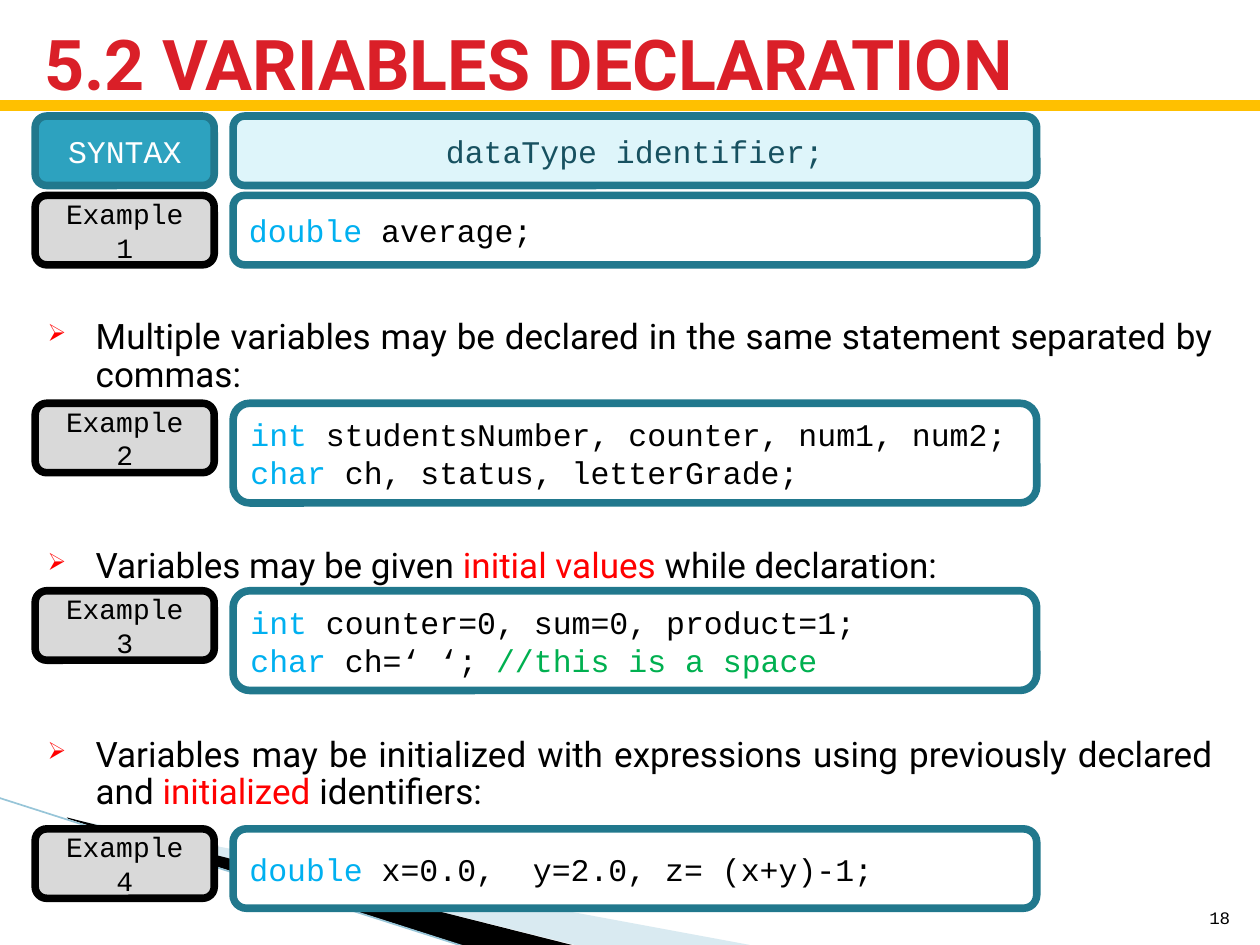
import pptx
import pptx.util
import pptx.dml.color
import pptx.enum.shapes
import pptx.enum.text
import pptx.oxml
import pptx.oxml.ns

Cm, Pt = pptx.util.Cm, pptx.util.Pt
SHAPE = pptx.enum.shapes.MSO_SHAPE
ALIGN = pptx.enum.text.PP_ALIGN
ANCHOR = pptx.enum.text.MSO_ANCHOR
qn = pptx.oxml.ns.qn

BLACK, WHITE, RED, TEAL = "000000", "FFFFFF", "FF0000", "21788D"
KEYWORD, COMMENT = "00B0F0", "00B050"
CODE = {"name": "Courier New", "size": Pt(18)}
LABEL = {"name": "Courier New", "size": Pt(16)}
BODY = {"name": "Roboto", "size": Pt(20)}
TITLE = {"name": "Roboto", "size": Pt(40), "bold": True}
NUMBER = {"name": "Courier New", "size": Pt(10)}


def rgb(value):
    return pptx.dml.color.RGBColor.from_string(value)


def apply(obj, values):
    for name, value in values.items():
        setattr(obj, name, value)


def sub(parent, tag, **attrs):
    el = pptx.oxml.parse_xml(f"<{tag} {pptx.oxml.ns.nsdecls('a')}/>")
    for name, value in attrs.items():
        el.set(name, str(value))
    parent.append(el)
    return el


def fill_text(tf, lines, font, align=ALIGN.LEFT, anchor=ANCHOR.MIDDLE):
    apply(tf, {"word_wrap": True, "vertical_anchor": anchor,
               "auto_size": pptx.enum.text.MSO_AUTO_SIZE.NONE})
    for i, line in enumerate(lines):
        p = tf.add_paragraph() if i else tf.paragraphs[0]
        p.alignment = align
        for text, color in line:
            r = p.add_run()
            r.text = text
            apply(r.font, font)
            r.font.color.rgb = rgb(color)


def add_line(s, x1, y1, x2, y2, color, width):
    c = s.shapes.add_connector(pptx.enum.shapes.MSO_CONNECTOR.STRAIGHT,
                               Cm(x1), Cm(y1), Cm(x2), Cm(y2))
    c.line.color.rgb = rgb(color)
    c.line.width = Pt(width)
    sub(c._element.spPr, "a:effectLst")


def add_wedge(s, x, y, points, color, alpha=None):
    start, *rest = [(Cm(x + dx), Cm(y + dy)) for dx, dy in points]
    fb = s.shapes.build_freeform(*start)
    fb.add_line_segments(rest, close=True)
    sp = fb.convert_to_shape()
    sp.shadow.inherit = False
    sp.fill.solid()
    sp.fill.fore_color.rgb = rgb(color)
    sp.line.fill.background()
    if alpha:
        sub(sp._element.spPr.find(".//" + qn("a:srgbClr")), "a:alpha", val=alpha * 1000)


def add_swoosh(s, x, y):
    add_wedge(s, x + 0.05, y + 0.03, [(0, 0), (13.72, 2.54), (10.19, 2.54)], "A0CBDC", 40)
    add_wedge(s, x, y, [(0, 0), (10.26, 2.59), (8.1, 2.62), (0.03, 0.03)], BLACK)
    add_line(s, x - 1.38, y - 0.4, x + 8.07, y + 2.62, "97C5D8", 0.95)


def add_box(s, x, y, w, h, fill, line, lines, font, align):
    sp = s.shapes.add_shape(SHAPE.ROUNDED_RECTANGLE, Cm(x), Cm(y), Cm(w), Cm(h))
    sp.shadow.inherit = False
    sp.fill.solid()
    sp.fill.fore_color.rgb = rgb(fill)
    sp.line.color.rgb = rgb(line)
    sp.line.width = Pt(4.33)
    fill_text(sp.text_frame, lines, font, align)


def add_syntax(s, x, y):
    add_box(s, x, y, 3.61, 1.4, "2DA2BF", TEAL, [[("SYNTAX", WHITE)]], CODE, ALIGN.CENTER)
    add_box(s, x + 3.99, y, 16.2, 1.4, "DEF5FA", TEAL,
            [[("dataType identifier;", "175160")]], CODE, ALIGN.CENTER)


def add_example(s, x, y, h, number, lines):
    add_box(s, x, y, 3.61, 1.4, "D9D9D9", BLACK,
            [[(f"Example {number}", BLACK)]], LABEL, ALIGN.CENTER)
    add_box(s, x + 3.99, y, 16.2, h, WHITE, TEAL, lines, CODE, ALIGN.LEFT)


def add_text(s, x, y, w, h, line, font, align, anchor):
    tb = s.shapes.add_textbox(Cm(x), Cm(y), Cm(w), Cm(h))
    fill_text(tb.text_frame, [line], font, align, anchor)
    return tb.text_frame.paragraphs[0]


def add_bullet(s, x, y, h, line):
    p = add_text(s, x, y, 24, h, line, BODY, ALIGN.JUSTIFY, ANCHOR.TOP)
    p.line_spacing = 0.9
    pPr = p._p.get_or_add_pPr()
    pPr.set("marL", str(Cm(0.97)))
    pPr.set("indent", str(-Cm(0.97)))
    sub(sub(pPr, "a:buClr"), "a:srgbClr", val=RED)
    sub(pPr, "a:buSzPct", val=68000)
    sub(pPr, "a:buChar", char="➢")


def add_heading(s, x, y, w, h, text):
    add_line(s, 0, 2.13, 25.4, 2.13, "FFC000", 6)
    title = s.shapes.title
    apply(title, {"left": Cm(x), "top": Cm(y), "width": Cm(w), "height": Cm(h)})
    fill_text(title.text_frame, [[(text, "DA1F28")]], TITLE)


def main():
    prs = pptx.Presentation()
    apply(prs, {"slide_width": Cm(25.4), "slide_height": Cm(19.05)})
    s = prs.slides.add_slide(prs.slide_layouts[5])
    left = 0.71

    add_swoosh(s, 1.35, 16.48)
    add_text(s, 24.03, 17.81, 1.02, 1.02, [("18", BLACK)], NUMBER, ALIGN.RIGHT, ANCHOR.BOTTOM)
    add_heading(s, 0.64, 0.43, 24.05, 1.65, "5.2 VARIABLES DECLARATION")
    add_syntax(s, left, 2.34)

    bullets = [
        (6.32, 1.4, [("Multiple variables may be declared in the same statement "
                      "separated by commas:", BLACK)]),
        (10.92, 1.19, [("Variables may be given ", BLACK), ("initial values ", RED),
                       ("while declaration:", BLACK)]),
        (14.73, 1.6, [("Variables may be initialized with expressions using previously "
                       "declared and ", BLACK), ("initialized", RED),
                      (" identifiers:", BLACK)]),
    ]
    for y, h, line in bullets:
        add_bullet(s, left, y, h, line)

    examples = [
        (3.94, 1.4, [[("double", KEYWORD), (" average;", BLACK)]]),
        (8.13, 2.01, [[("int ", KEYWORD), ("studentsNumber, counter, num1, num2;", BLACK)],
                      [("char ", KEYWORD), ("ch, status, letterGrade;", BLACK)]]),
        (11.91, 2.01, [[("int", KEYWORD), (" counter=0, sum=0, product=1;", BLACK)],
                       [("char ", KEYWORD), ("ch=‘ ‘; ", BLACK),
                        ("//this is a space", COMMENT)]]),
        (16.71, 1.6, [[("double", KEYWORD), (" x=0.0,  y=2.0, z= (x+y)-1;", BLACK)]]),
    ]
    for number, (y, h, lines) in enumerate(examples, 1):
        add_example(s, left, y, h, number, lines)

    prs.save("out.pptx")


if __name__ == "__main__":
    main()
